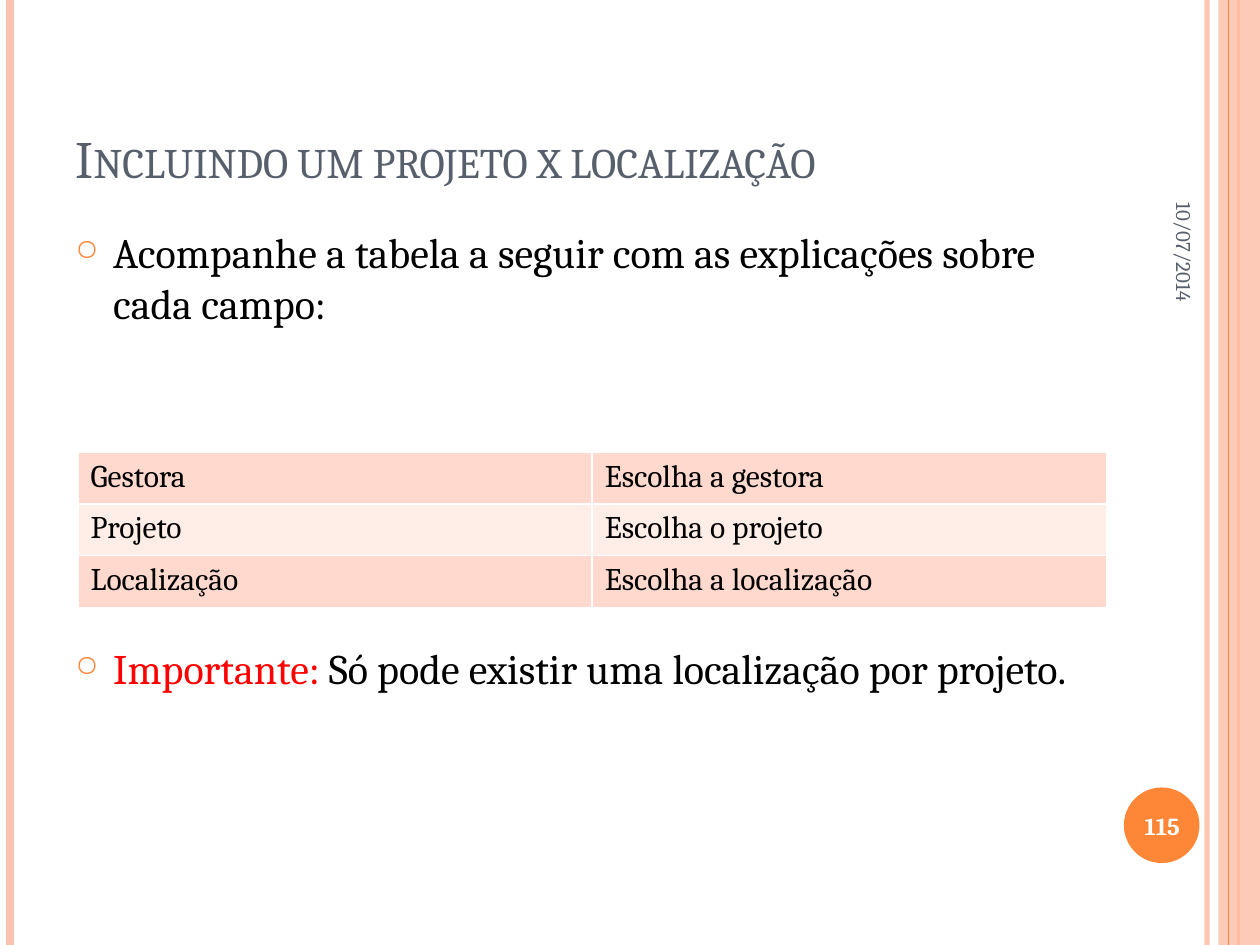
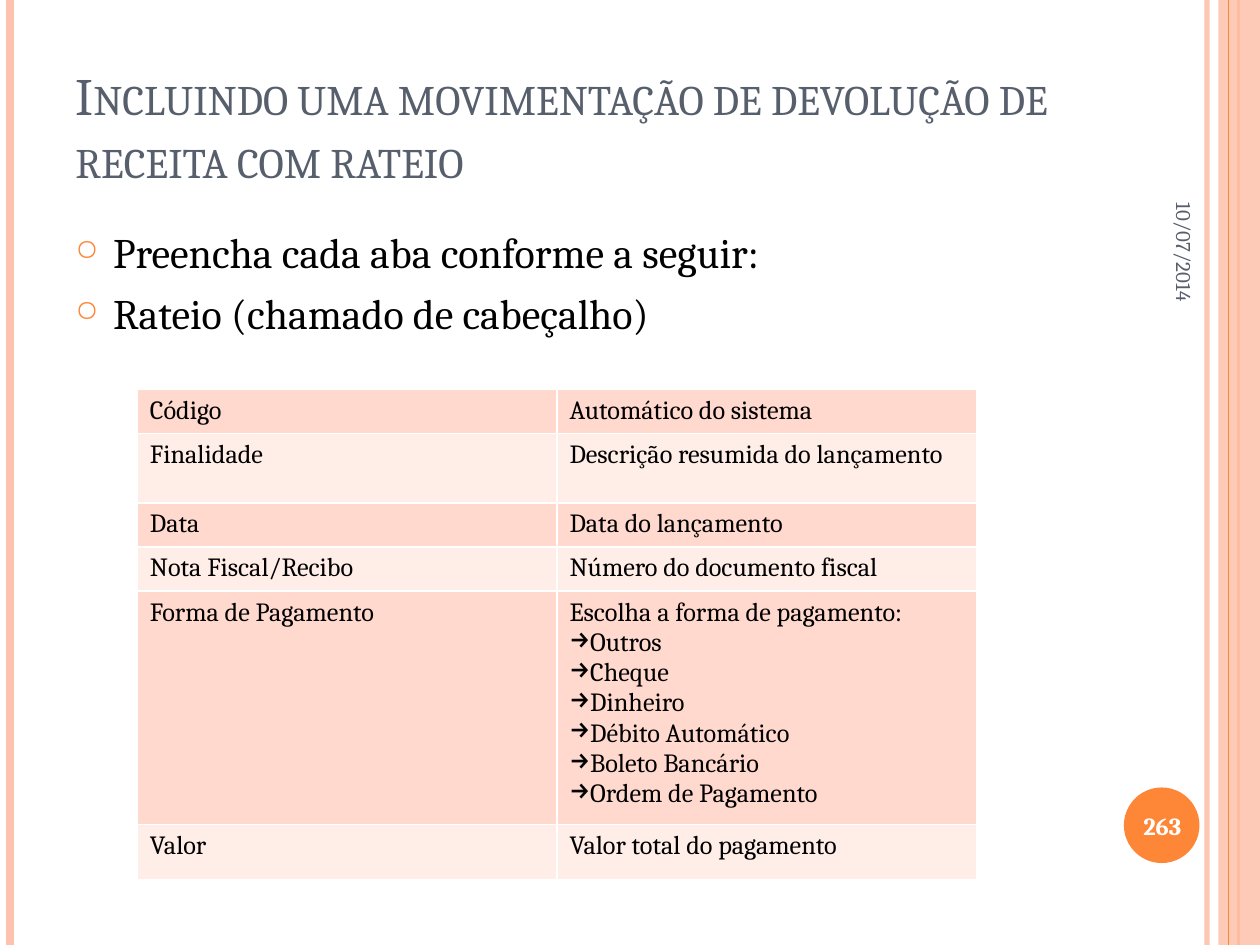
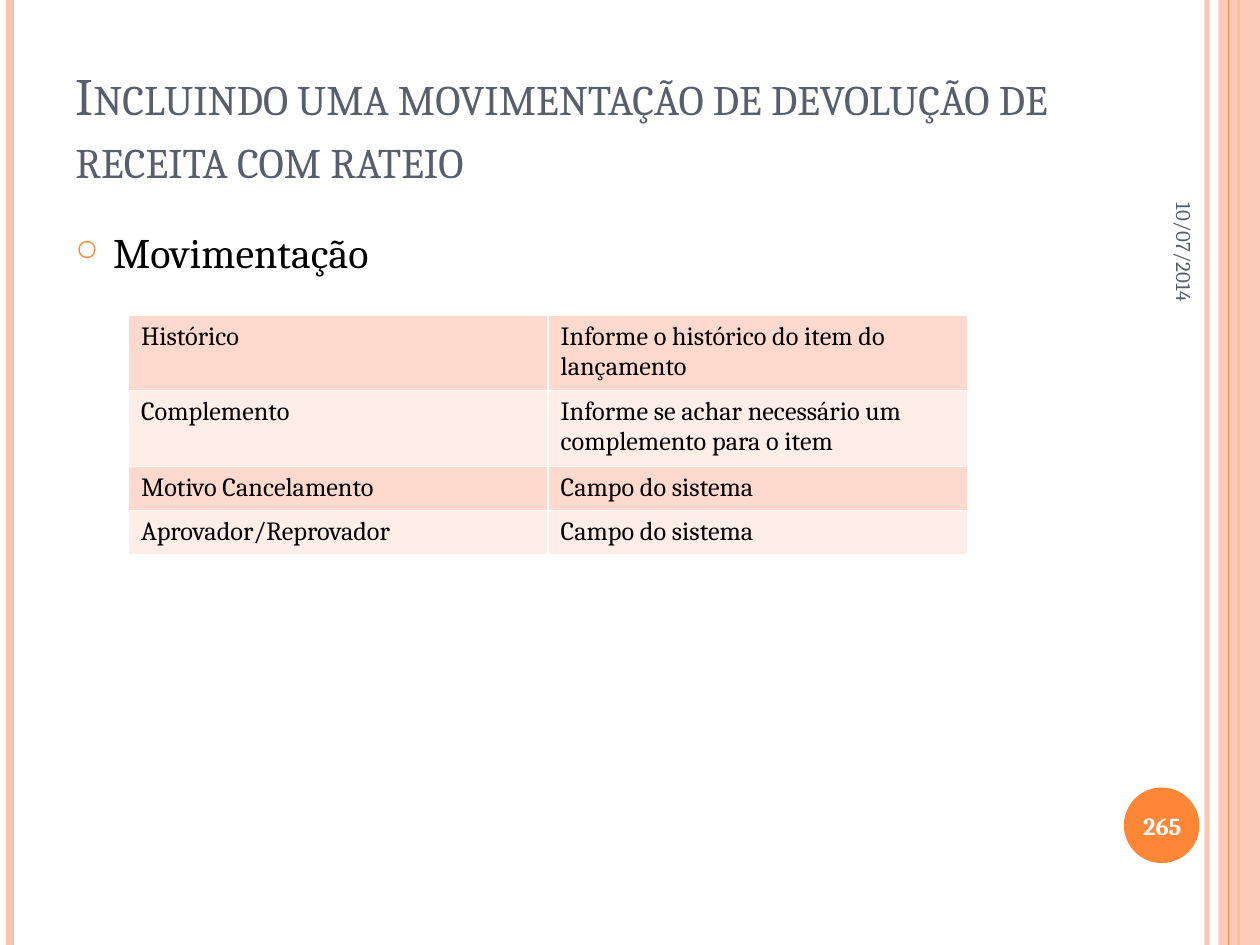
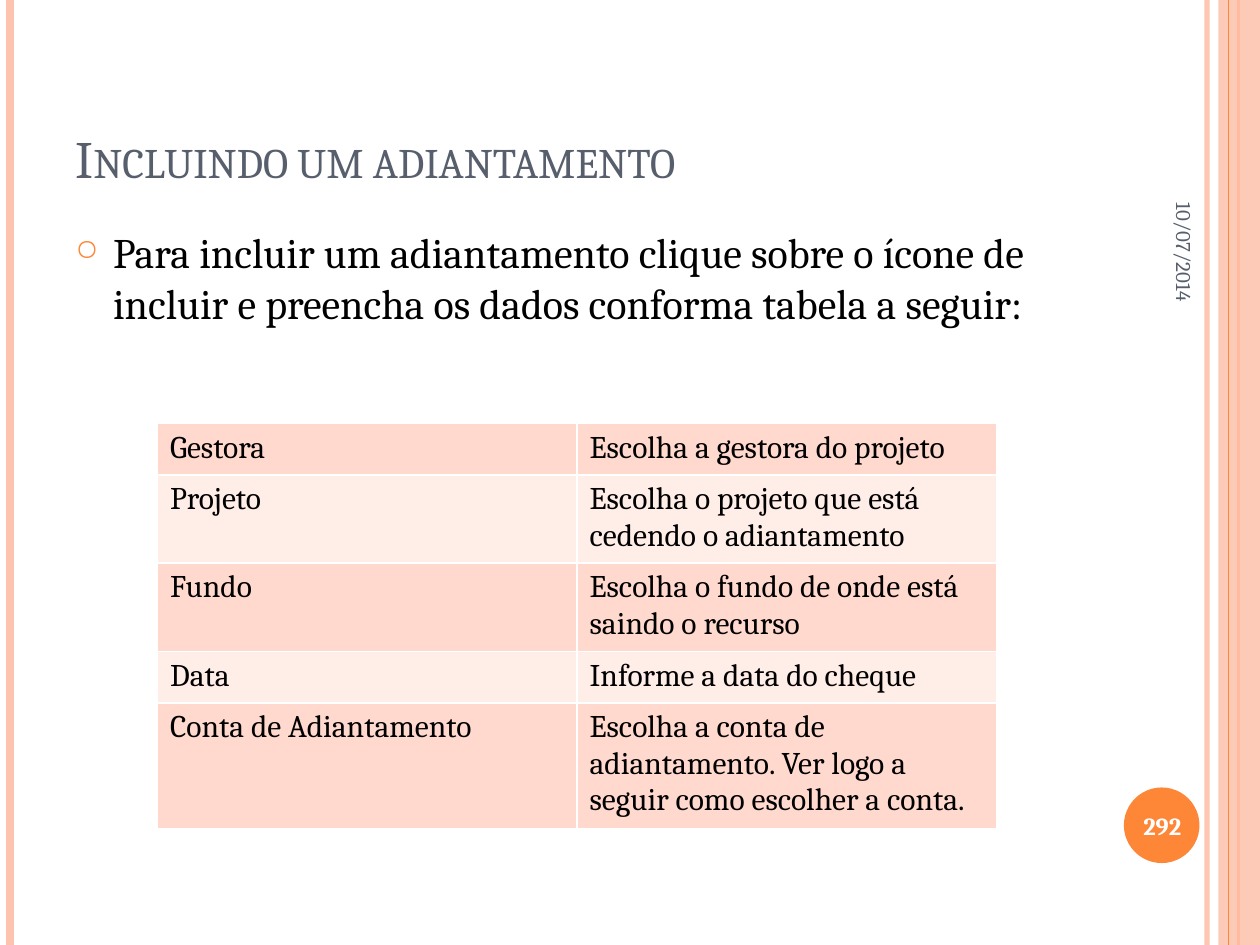
from lxml import etree
from pptx import Presentation
from pptx.dml.color import RGBColor
from pptx.enum.shapes import MSO_CONNECTOR, MSO_SHAPE
from pptx.enum.text import MSO_ANCHOR, PP_ALIGN
from pptx.oxml.ns import qn
from pptx.util import Inches, Pt

STRAIGHT = MSO_CONNECTOR.STRAIGHT
RECTANGLE, OVAL = MSO_SHAPE.RECTANGLE, MSO_SHAPE.OVAL
TOP, MIDDLE, BOTTOM = MSO_ANCHOR.TOP, MSO_ANCHOR.MIDDLE, MSO_ANCHOR.BOTTOM
LEFT, CENTER, RIGHT = PP_ALIGN.LEFT, PP_ALIGN.CENTER, PP_ALIGN.RIGHT

FONT = "Cambria"
ORANGE, PEACH, SLATE = "FE8637", "FEC3AE", "575F6D"
BLACK, WHITE, RED = "000000", "FFFFFF", "FF0000"
ROW_FILLS = ("FFD9CE", "FFEDE8")
WIDTH, HEIGHT = 10, 7.5
DATE = "10/07/2014"
REFUND_TITLE = "Incluindo uma movimentação de devolução de receita com rateio"


def color(value):
    return RGBColor.from_string(value)


def add_element(parent, tag, **attributes):
    return etree.SubElement(parent, qn(tag), attributes)


def set_opacity(shape, percent):
    for tint in shape._element.spPr.iter(qn("a:srgbClr")):
        add_element(tint, "a:alpha", val=str(percent * 1000))


class Deck:
    def __init__(self):
        self.presentation = Presentation()
        self.presentation.slide_width = Inches(WIDTH)
        self.presentation.slide_height = Inches(HEIGHT)
        self.slide = None

    def new_slide(self, title, number):
        layout = self.presentation.slide_layouts[6]
        self.slide = self.presentation.slides.add_slide(layout)
        self.vertical_line(9.58, PEACH, 3, 93)
        self.vertical_line(0.08, PEACH, 4.5)
        self.vertical_line(9.83, ORANGE, 1.5)
        self.shape(RECTANGLE, (9.67, 0, 0.33, HEIGHT), PEACH, 87)
        self.vertical_line(9.75, ORANGE, 0.75)
        self.shape(OVAL, (8.92, 6.25, 0.6, 0.6), ORANGE)
        heading = self.label((0.5, 0.3, 8.17, 1.25), title, 30, SLATE, BOTTOM)
        heading.text_frame.paragraphs[0].runs[0]._r.get_or_add_rPr().set("cap", "small")
        date = self.label((8.3, 1.18, 2.2, 0.42), DATE, 12, SLATE, MIDDLE, RIGHT)
        date.rotation = 90
        self.label((8.89, 6.27, 0.67, 0.57), str(number), 14, WHITE, MIDDLE, CENTER, True)

    def vertical_line(self, x, line_color, weight, opacity=100):
        line = self.slide.shapes.add_connector(
            STRAIGHT, Inches(x), Inches(0), Inches(x), Inches(HEIGHT))
        line.line.color.rgb = color(line_color)
        line.line.width = Pt(weight)
        add_element(line._element.spPr, "a:effectLst")
        if opacity < 100:
            set_opacity(line, opacity)

    def shape(self, kind, box, fill, opacity=100):
        shape = self.slide.shapes.add_shape(kind, *map(Inches, box))
        shape.shadow.inherit = False
        shape.fill.solid()
        shape.fill.fore_color.rgb = color(fill)
        shape.line.fill.background()
        if opacity < 100:
            set_opacity(shape, opacity)

    def text_box(self, box, anchor=TOP):
        text_box = self.slide.shapes.add_textbox(*map(Inches, box))
        text_box.text_frame.word_wrap = True
        text_box.text_frame.vertical_anchor = anchor
        return text_box

    def run(self, paragraph, text, size, text_color=BLACK, bold=False):
        run = paragraph.add_run()
        run.text = text
        run.font.name = FONT
        run.font.size = Pt(size)
        run.font.bold = bold
        run.font.color.rgb = color(text_color)

    def label(self, box, text, size, text_color, anchor, align=LEFT, bold=False):
        label = self.text_box(box, anchor)
        paragraph = label.text_frame.paragraphs[0]
        paragraph.alignment = align
        self.run(paragraph, text, size, text_color, bold)
        return label

    def bullets(self, *items, gap=6):
        frame = self.text_box((0.5, 1.75, 8.17, 5.33)).text_frame
        for index, item in enumerate(items):
            paragraph = frame.add_paragraph() if index else frame.paragraphs[0]
            properties = paragraph._p.get_or_add_pPr()
            properties.set("marL", str(Inches(0.3)))
            properties.set("indent", str(Inches(-0.3)))
            bullet_color = add_element(properties, "a:buClr")
            add_element(bullet_color, "a:srgbClr", val=ORANGE)
            add_element(properties, "a:buSzPct", val="70000")
            add_element(properties, "a:buChar", char="○")
            if index:
                paragraph.space_before = Pt(gap)
            for text, text_color in item:
                self.run(paragraph, text, 24, text_color)

    def table(self, left, top, column_width, row_heights, rows, size):
        frame = self.slide.shapes.add_table(
            len(rows), 2, Inches(left), Inches(top),
            Inches(2 * column_width), Inches(sum(row_heights)))
        table = frame.table
        table.first_row = table.horz_banding = False
        for column in table.columns:
            column.width = Inches(column_width)
        for index, (height, texts) in enumerate(zip(row_heights, rows)):
            table.rows[index].height = Inches(height)
            for cell, text in zip(table.rows[index].cells, texts):
                self.cell(cell, text, size, ROW_FILLS[index % 2])

    def cell(self, cell, text, size, fill):
        cell.fill.solid()
        cell.fill.fore_color.rgb = color(fill)
        self.cell_borders(cell)
        intro, *options = text.split("\n")
        self.run(cell.text_frame.paragraphs[0], intro, size)
        for option in options:
            paragraph = cell.text_frame.add_paragraph()
            add_element(paragraph._p.get_or_add_pPr(), "a:buChar", char="→")
            self.run(paragraph, option, size)

    def cell_borders(self, cell):
        properties = cell._tc.get_or_add_tcPr()
        for index, side in enumerate(("a:lnL", "a:lnR", "a:lnT", "a:lnB")):
            border = add_element(properties, side, w=str(Pt(1)))
            add_element(add_element(border, "a:solidFill"), "a:srgbClr", val=WHITE)
            properties.insert(index, border)


def project_location(deck):
    deck.new_slide("Incluindo um projeto x localização", 115)
    deck.bullets(
        [("Acompanhe a tabela a seguir com as explicações sobre cada campo:", BLACK)],
        [("Importante: ", RED), ("Só pode existir uma localização por projeto.", BLACK)],
        gap=180)
    deck.table(0.62, 3.59, 4.08, [0.41] * 3, [
        ("Gestora", "Escolha a gestora"),
        ("Projeto", "Escolha o projeto"),
        ("Localização", "Escolha a localização"),
    ], 18)


def refund_header(deck):
    deck.new_slide(REFUND_TITLE, 263)
    deck.bullets(
        [("Preencha cada aba conforme a seguir:", BLACK)],
        [("Rateio (chamado de cabeçalho)", BLACK)])
    payment_options = "\n".join((
        "Escolha a forma de pagamento:", "Outros", "Cheque", "Dinheiro",
        "Débito Automático", "Boleto Bancário", "Ordem de Pagamento"))
    deck.table(1.09, 3.09, 3.33, [0.32, 0.55, 0.32, 0.32, 1.68, 0.44], [
        ("Código", "Automático do sistema"),
        ("Finalidade", "Descrição resumida do lançamento"),
        ("Data", "Data do lançamento"),
        ("Nota Fiscal/Recibo", "Número do documento fiscal"),
        ("Forma de Pagamento", payment_options),
        ("Valor", "Valor total do pagamento"),
    ], 15)


def refund_entry(deck):
    deck.new_slide(REFUND_TITLE, 265)
    deck.bullets([("Movimentação", BLACK)])
    deck.table(1.02, 2.5, 3.33, [0.32, 0.55, 0.32, 0.32], [
        ("Histórico", "Informe o histórico do item do lançamento"),
        ("Complemento", "Informe se achar necessário um complemento para o item"),
        ("Motivo Cancelamento", "Campo do sistema"),
        ("Aprovador/Reprovador", "Campo do sistema"),
    ], 15)


def advance(deck):
    deck.new_slide("Incluindo um adiantamento", 292)
    deck.bullets([(
        "Para incluir um adiantamento clique sobre o ícone de incluir "
        "e preencha os dados conforma tabela a seguir:", BLACK)])
    deck.table(1.25, 3.36, 3.33, [0.41] * 5, [
        ("Gestora", "Escolha a gestora do projeto"),
        ("Projeto", "Escolha o projeto que está cedendo o adiantamento"),
        ("Fundo", "Escolha o fundo de onde está saindo o recurso"),
        ("Data", "Informe a data do cheque"),
        ("Conta de Adiantamento",
         "Escolha a conta de adiantamento. Ver logo a seguir como escolher a conta."),
    ], 18)


def main():
    deck = Deck()
    for build_slide in (project_location, refund_header, refund_entry, advance):
        build_slide(deck)
    deck.presentation.save("out.pptx")


if __name__ == "__main__":
    main()
